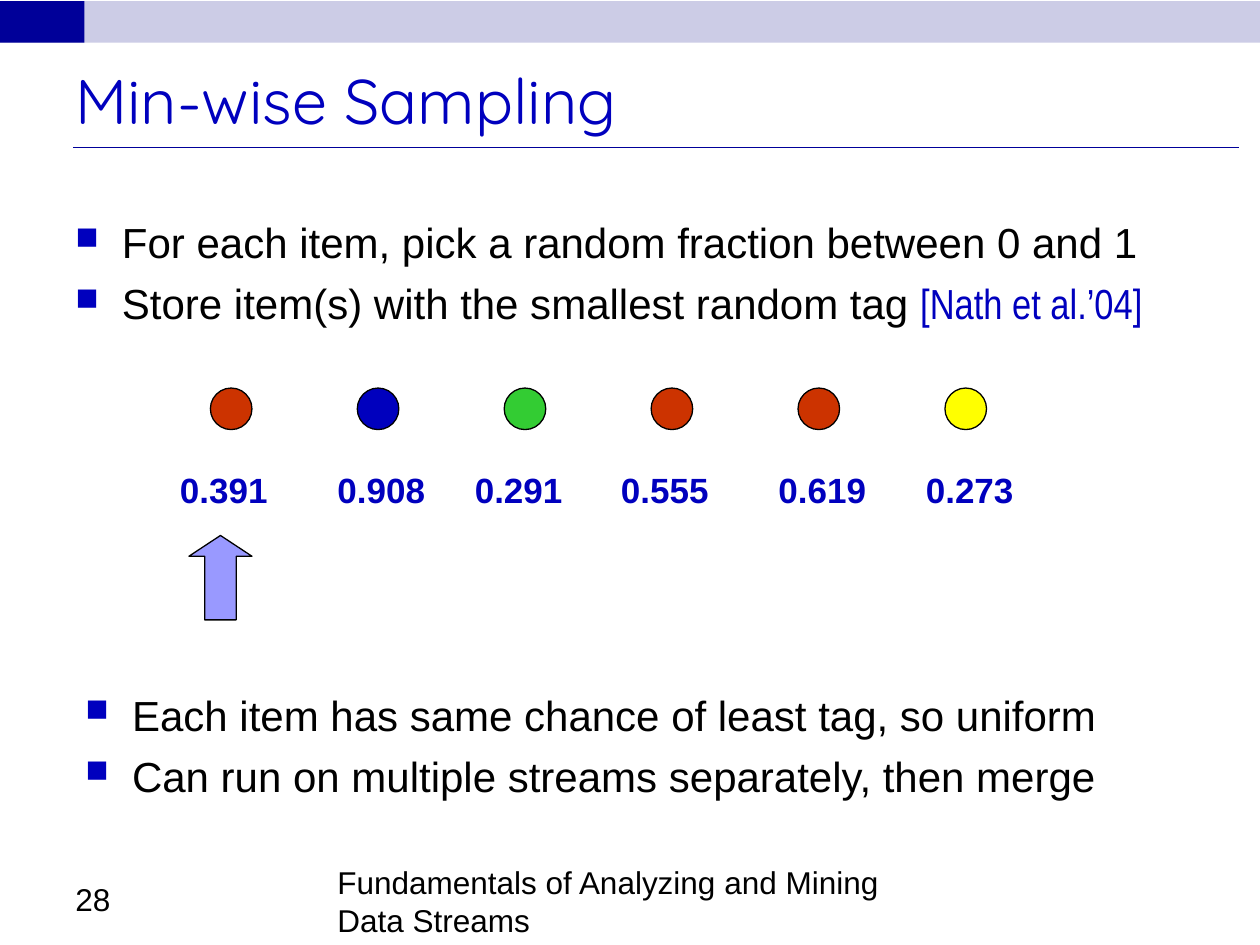
from dataclasses import dataclass

from lxml import etree
from pptx import Presentation
from pptx.dml.color import RGBColor
from pptx.enum.shapes import MSO_CONNECTOR, MSO_SHAPE
from pptx.enum.text import MSO_ANCHOR
from pptx.oxml.ns import qn
from pptx.util import Inches, Pt

RECTANGLE, OVAL, UP_ARROW = MSO_SHAPE.RECTANGLE, MSO_SHAPE.OVAL, MSO_SHAPE.UP_ARROW
STRAIGHT = MSO_CONNECTOR.STRAIGHT
TOP, MIDDLE, BOTTOM = MSO_ANCHOR.TOP, MSO_ANCHOR.MIDDLE, MSO_ANCHOR.BOTTOM


@dataclass(frozen=True)
class Theme:
    ink: str = "000000"
    accent: str = "0000BE"
    navy: str = "000099"
    band: str = "CCCCE6"
    arrow: str = "9999FF"
    red: str = "CC3300"
    green: str = "33CC33"
    yellow: str = "FFFF00"
    title_font: str = "Quicksand"
    body_font: str = "Arial"
    citation_font: str = "Arial Narrow"
    title_size: int = 36
    body_size: int = 24
    tag_size: int = 20
    footer_size: int = 18
    line_width: float = 0.75


THEME = Theme()

# A span is (text, font, size, colour, bold).
def body_span(text):
    return (text, THEME.body_font, THEME.body_size, THEME.ink, False)


def footer_span(text):
    return (text, THEME.body_font, THEME.footer_size, THEME.ink, False)


TITLE = ("Min-wise Sampling", THEME.title_font, THEME.title_size, THEME.accent, False)
CITATION = ("[Nath et al.’04]", THEME.citation_font, THEME.body_size, THEME.accent, False)
METHOD = [
    [body_span("For each item, pick a random fraction between 0 and 1")],
    [body_span("Store item(s) with the smallest random tag "), CITATION],
]
PROPERTIES = [
    [body_span("Each item has same chance of least tag, so uniform")],
    [body_span("Can run on multiple streams separately, then merge")],
]
# Item colour, random tag, left edge of the tag
ITEMS = [
    (THEME.red, "0.391", 1.33),
    (THEME.accent, "0.908", 2.58),
    (THEME.green, "0.291", 3.67),
    (THEME.red, "0.555", 4.83),
    (THEME.red, "0.619", 6.08),
    (THEME.yellow, "0.273", 7.25),
]
FOOTER = "Fundamentals of Analyzing and Mining Data Streams"
PAGE_NUMBER = "28"

FIRST_ITEM_LEFT, LAST_ITEM_LEFT = 1.67, 7.5
ITEM_TOP, ITEM_SIZE = 3.08, 0.33
TAG_TOP, TAG_WIDTH, TAG_HEIGHT = 3.67, 1.83, 0.44
BULLET_INDENT = 0.37


def add_filled(page, kind, area, fill, outlined=False):
    shape = page.shapes.add_shape(kind, *map(Inches, area))
    shape.shadow.inherit = False
    shape.fill.solid()
    shape.fill.fore_color.rgb = RGBColor.from_string(fill)
    if outlined:
        shape.line.color.rgb = RGBColor.from_string(THEME.ink)
        shape.line.width = Pt(THEME.line_width)
    else:
        shape.line.fill.background()
    return shape


def add_rule(page, left, right, top):
    rule = page.shapes.add_connector(
        STRAIGHT, Inches(left), Inches(top), Inches(right), Inches(top))
    rule.line.color.rgb = RGBColor.from_string(THEME.navy)
    rule.line.width = Pt(THEME.line_width)
    etree.SubElement(rule._element.spPr, qn("a:effectLst"))


def add_bullet(para):
    """Give the paragraph a small square bullet with a hanging indent."""
    properties = para._p.get_or_add_pPr()
    properties.set("marL", str(Inches(BULLET_INDENT)))
    properties.set("indent", str(-Inches(BULLET_INDENT)))
    colour = etree.SubElement(properties, qn("a:buClr"))
    etree.SubElement(colour, qn("a:srgbClr"), val=THEME.accent)
    etree.SubElement(properties, qn("a:buSzPct"), val="75000")
    etree.SubElement(properties, qn("a:buChar"), char="■")


def add_text(page, area, paragraphs, anchor=TOP, bulleted=False):
    frame = page.shapes.add_textbox(*map(Inches, area)).text_frame
    frame.word_wrap = True
    frame.vertical_anchor = anchor
    for index, spans in enumerate(paragraphs):
        para = frame.add_paragraph() if index else frame.paragraphs[0]
        if bulleted:
            add_bullet(para)
        if index:
            para.space_before = Pt(6)
        for text, font, size, colour, bold in spans:
            span = para.add_run()
            span.text = text
            span.font.name = font
            span.font.size = Pt(size)
            span.font.bold = bold
            span.font.color.rgb = RGBColor.from_string(colour)


def add_items(page):
    step = (LAST_ITEM_LEFT - FIRST_ITEM_LEFT) / (len(ITEMS) - 1)
    for index, (colour, tag, tag_left) in enumerate(ITEMS):
        left = FIRST_ITEM_LEFT + index * step
        add_filled(page, OVAL, (left, ITEM_TOP, ITEM_SIZE, ITEM_SIZE), colour, outlined=True)
        span = (tag, THEME.body_font, THEME.tag_size, THEME.accent, True)
        add_text(page, (tag_left, TAG_TOP, TAG_WIDTH, TAG_HEIGHT), [[span]])


def main():
    deck = Presentation()
    deck.slide_width, deck.slide_height = Inches(10), Inches(7.5)
    page = deck.slides.add_slide(deck.slide_layouts[6])

    add_filled(page, RECTANGLE, (0, 0.01, 10, 0.33), THEME.band)
    add_filled(page, RECTANGLE, (0, 0.01, 0.67, 0.33), THEME.navy)
    add_rule(page, 0.58, 9.83, 1.17)
    add_text(page, (0.5, 0.33, 9.5, 0.92), [[TITLE]], MIDDLE)
    add_text(page, (0.5, 1.67, 9, 1.47), METHOD, bulleted=True)
    add_items(page)
    arrow = add_filled(page, UP_ARROW, (1.5, 4.25, 0.5, 0.67), THEME.arrow, outlined=True)
    arrow.adjustments[0], arrow.adjustments[1] = 0.5, 0.33
    add_text(page, (0.58, 5.42, 9, 1.17), PROPERTIES, bulleted=True)
    add_text(page, (2.58, 6.8, 5.08, 0.7), [[footer_span(FOOTER)]], BOTTOM)
    add_text(page, (0.5, 6.83, 2.33, 0.5), [[footer_span(PAGE_NUMBER)]], BOTTOM)
    deck.save("out.pptx")


if __name__ == "__main__":
    main()
